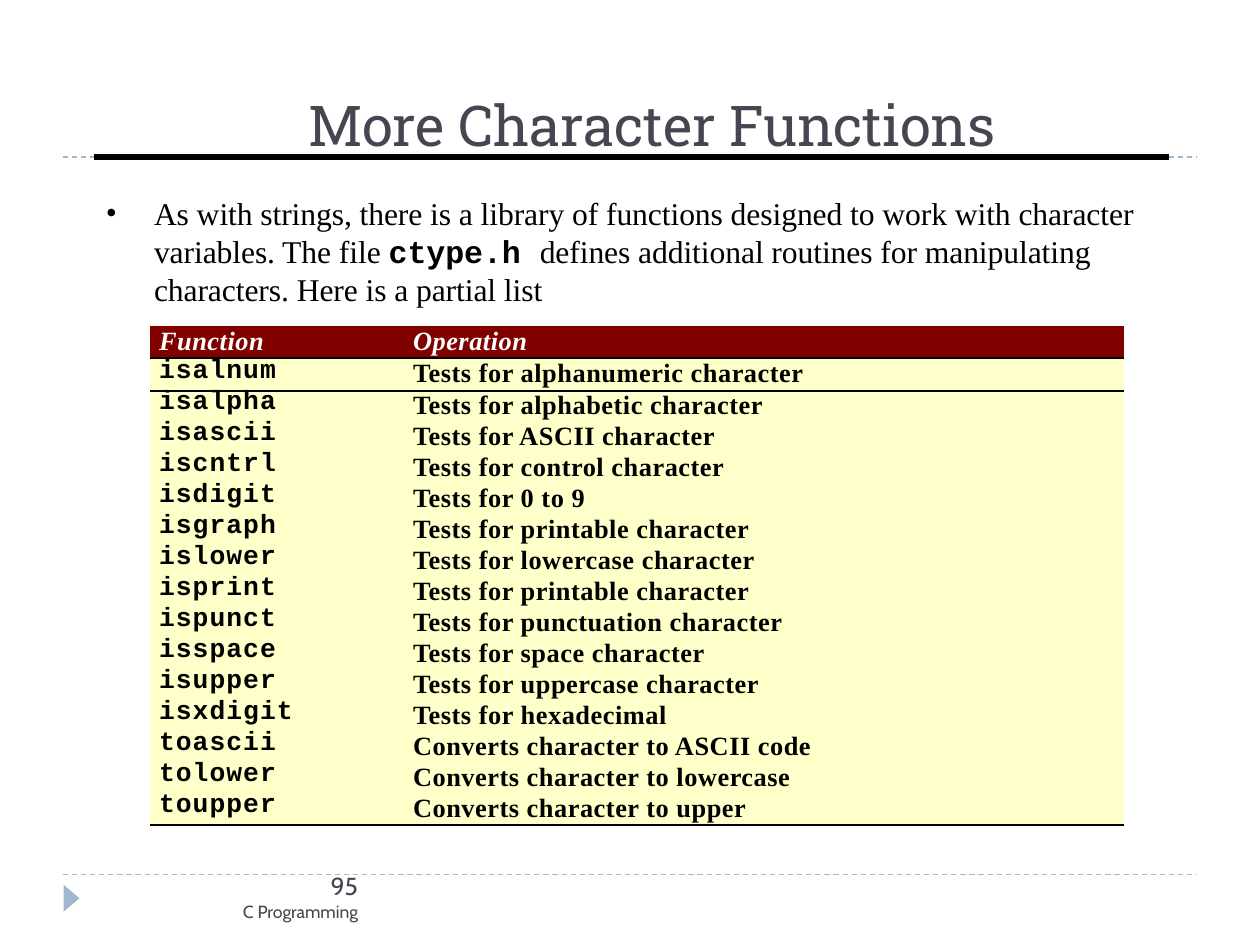
"""Build the slide on more character functions in C."""
from lxml import etree
from pptx import Presentation
from pptx import util as u
from pptx.dml import color
from pptx.enum import dml, shapes, text
from pptx.oxml import ns

TITLE = "More Character Functions"
INTRO = [
    ("As with strings, there is a library of functions designed to work with "
     "character variables. The file ", "Times New Roman"),
    ("ctype.h ", "Courier New"),
    ("defines additional routines for manipulating characters. "
     "Here is a partial list", "Times New Roman"),
]
FOOTER = [("95", 14), ("C Programming", 10)]
HEADER = ("Function", "Operation")
FUNCTIONS = [
    ("isalnum", "Tests for alphanumeric character"),
    ("isalpha", "Tests for alphabetic character"),
    ("isascii", "Tests for ASCII character"),
    ("iscntrl", "Tests for control character"),
    ("isdigit", "Tests for 0 to 9"),
    ("isgraph", "Tests for printable character"),
    ("islower", "Tests for lowercase character"),
    ("isprint", "Tests for printable character"),
    ("ispunct", "Tests for punctuation character"),
    ("isspace", "Tests for space character"),
    ("isupper", "Tests for uppercase character"),
    ("isxdigit", "Tests for hexadecimal"),
    ("toascii", "Converts character to ASCII code"),
    ("tolower", "Converts character to lowercase"),
    ("toupper", "Converts character to upper"),
]
COLORS = {"slate": "464653", "blue": "9FB8CD", "black": "000000", "white": "FFFFFF",
          "maroon": "800000", "cream": "FFFFCA", "ink": "010000"}
RULES = [(63, 1196, 874, "blue", 0.75), (63, 1196, 157, "blue", 0.75),
         (94, 1169, 157, "black", 3)]
COLUMNS = [(204, 9), (770, 59)]
ROW_HEIGHTS = [32, 33] + [31] * 14
RULED_ROWS = {0: 1.32, 1: 1.32, 15: 1.44}
EMU_PER_PX = 914400 / 126.5


def px(length):
    return u.Emu(round(length * EMU_PER_PX))


def rgb(name):
    return color.RGBColor.from_string(COLORS[name])


def style(span, size, face, ink, bold=False, italic=False, spacing=0):
    font = span.font
    font.size, font.name, font.bold, font.italic = u.Pt(size), face, bold, italic
    font.color.rgb = rgb(ink)
    span._r.get_or_add_rPr().set("spc", str(spacing))


def place(box, left, top, width, height):
    box.left, box.top, box.width, box.height = map(px, (left, top, width, height))


def clear_frame(frame, anchor):
    frame.margin_left = frame.margin_right = frame.margin_top = frame.margin_bottom = 0
    frame.word_wrap = True
    frame.auto_size = text.MSO_AUTO_SIZE.NONE
    frame.vertical_anchor = anchor


def indent(para, left, first=0):
    props = para._p.get_or_add_pPr()
    props.set("marL", str(px(left)))
    props.set("indent", str(px(first)))
    return props


def add_rule(page, left, right, y, ink, weight):
    rule = page.shapes.add_connector(shapes.MSO_CONNECTOR.STRAIGHT,
                                     px(left), px(y), px(right), px(y))
    rule.line.color.rgb = rgb(ink)
    rule.line.width = u.Pt(weight)
    if ink == "blue":
        rule.line.dash_style = dml.MSO_LINE.DASH
    etree.SubElement(rule.element.spPr, ns.qn("a:effectLst"))


def add_marker(page):
    marker = page.shapes.add_shape(shapes.MSO_SHAPE.ISOSCELES_TRIANGLE,
                                   px(58), px(890), px(27), px(16))
    marker.rotation = 90
    marker.shadow.inherit = False
    marker.fill.solid()
    marker.fill.fore_color.rgb = rgb("blue")
    marker.line.fill.background()


def fill_title(box):
    place(box, 63, 21, 1133, 137)
    clear_frame(box.text_frame, text.MSO_ANCHOR.BOTTOM)
    box.text_frame.text = TITLE
    para = box.text_frame.paragraphs[0]
    indent(para, 245)
    para.alignment = text.PP_ALIGN.LEFT
    style(para.runs[0], 32, "Roboto Slab", "slate", spacing=-10)


def fill_intro(box):
    place(box, 105, 194, 1039, 116)
    clear_frame(box.text_frame, text.MSO_ANCHOR.TOP)
    para = box.text_frame.paragraphs[0]
    props = indent(para, 49, -48)
    etree.SubElement(props, ns.qn("a:buFont"), typeface="Times New Roman")
    etree.SubElement(props, ns.qn("a:buChar"), char="•")
    para.line_spacing = 1.0
    para.space_before = u.Pt(0)
    for words, face in INTRO:
        span = para.add_run()
        span.text = words
        style(span, 18, face, "black", bold=face == "Courier New", spacing=-5)


def add_footer(page):
    box = page.shapes.add_textbox(px(85), px(874), px(273), px(51))
    clear_frame(box.text_frame, text.MSO_ANCHOR.TOP)
    box.text_frame.text = "\n".join(words for words, size in FOOTER)
    for para, (words, size) in zip(box.text_frame.paragraphs, FOOTER):
        para.alignment = text.PP_ALIGN.RIGHT
        style(para.runs[0], size, "Cabin", "slate")
    box.text_frame.paragraphs[0].line_spacing = u.Pt(15.1)


def add_bottom_border(cell, weight):
    border = etree.SubElement(cell._tc.get_or_add_tcPr(), ns.qn("a:lnB"),
                              w=str(u.Pt(weight)))
    fill = etree.SubElement(border, ns.qn("a:solidFill"))
    etree.SubElement(fill, ns.qn("a:srgbClr"), val=COLORS["black"])


def fill_cell(cell, words, row, column):
    is_header, is_code = row == 0, row > 0 and column == 0
    cell.margin_left = cell.margin_right = cell.margin_top = cell.margin_bottom = 0
    if row in RULED_ROWS:
        add_bottom_border(cell, RULED_ROWS[row])
    cell.fill.solid()
    cell.fill.fore_color.rgb = rgb("maroon" if is_header else "cream")
    cell.text_frame.text = words
    para = cell.text_frame.paragraphs[0]
    indent(para, COLUMNS[column][1])
    first_lines = {0: (17.1, 17.1), 1: (15.9, 17.4)}
    para.line_spacing = u.Pt(first_lines.get(row, (15.3, 16.6))[column])
    style(para.runs[0], 15, "Courier New" if is_code else "Times New Roman",
          "white" if is_header else "ink", True, is_header, 60 if is_code else 30)


def add_function_table(page):
    rows = [HEADER] + FUNCTIONS
    width = sum(size for size, margin in COLUMNS)
    frame = page.shapes.add_table(len(rows), len(COLUMNS), px(150), px(326),
                                  px(width), px(sum(ROW_HEIGHTS)))
    table = frame.table
    table.first_row = table.horz_banding = False
    for style_id in frame.element.iter(ns.qn("a:tableStyleId")):
        style_id.text = "{2D5ABB26-0587-4C30-8999-92F81FD0307C}"
    for column, (size, margin) in zip(table.columns, COLUMNS):
        column.width = px(size)
    for row, entries in enumerate(rows):
        table.rows[row].height = px(ROW_HEIGHTS[row])
        for column, words in enumerate(entries):
            fill_cell(table.cell(row, column), words, row, column)


def main():
    deck = Presentation()
    deck.slide_width, deck.slide_height = u.Inches(9.96), u.Inches(7.46)
    page = deck.slides.add_slide(deck.slide_layouts[1])
    for rule in RULES:
        add_rule(page, *rule)
    add_marker(page)
    fill_title(page.shapes.title)
    fill_intro(page.placeholders[1])
    add_footer(page)
    add_function_table(page)
    deck.save("out.pptx")


if __name__ == "__main__":
    main()
